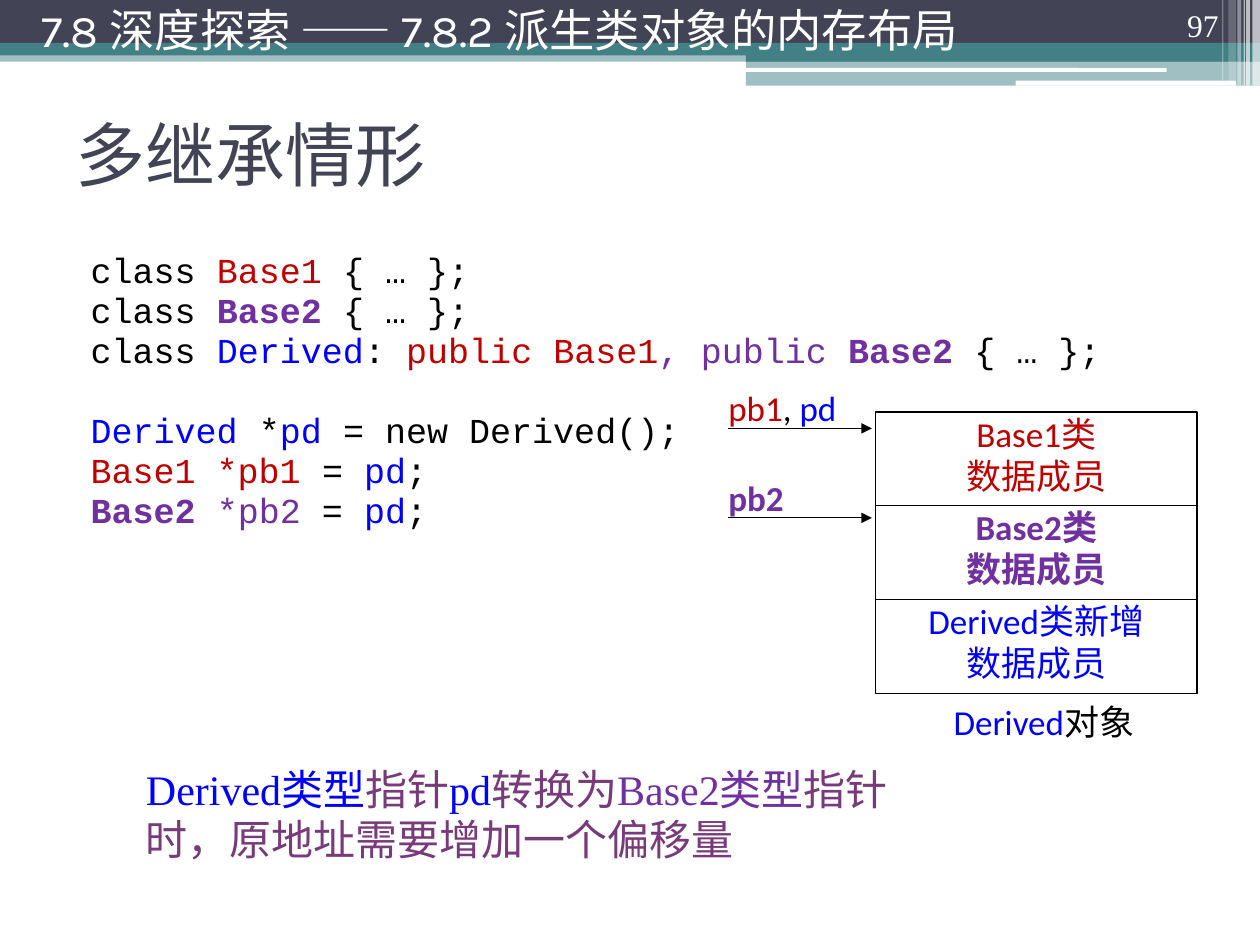
"""Build the slide on the memory layout of a multiply derived object."""
from lxml.etree import SubElement
from pptx import Presentation
from pptx.dml.color import RGBColor
from pptx.enum.shapes import MSO_CONNECTOR, MSO_SHAPE
from pptx.enum.text import MSO_ANCHOR, PP_ALIGN
from pptx.oxml.ns import qn
from pptx.util import Inches, Pt

THEME = dict(
    white="FFFFFF", black="000000", navy="424456", teal="438086",
    red="C00000", violet="7030A0", blue="0000FF", plum="783A7A",
    title=40, header=25.9, note=24, body=20, number=18, rule=0.75,
    head_font="Karla", code_font="Courier New", serif="Times New Roman", label_font="Calibri",
)

prs = Presentation()
prs.slide_width, prs.slide_height = Inches(10), Inches(7.5)
COL, ROW = prs.slide_width / 100, prs.slide_height / 75
s = prs.slides.add_slide(prs.slide_layouts[6])


def box(x, y, w, h, kind=None, fill=None, alpha=100, line=None):
    at = [int(v) for v in (x * COL, y * ROW, w * COL, h * ROW)]
    if kind is None:
        return s.shapes.add_textbox(*at)
    sp = s.shapes.add_shape(kind, *at)
    sp.shadow.inherit = False
    if fill:
        sp.fill.solid()
        sp.fill.fore_color.rgb = RGBColor.from_string(THEME[fill])
        if alpha < 100:
            color = sp.fill._xPr.find(qn("a:solidFill"))[0]
            SubElement(color, qn("a:alpha"), val=str(alpha * 1000))
    else:
        sp.fill.background()
    if line:
        sp.line.color.rgb = RGBColor.from_string(THEME[line])
        sp.line.width = Pt(THEME["rule"])
    else:
        sp.line.fill.background()
    return sp


def write(sp, paras, font, size, frame={}, para={}):
    tf = sp.text_frame
    for key, value in {"word_wrap": True, "vertical_anchor": MSO_ANCHOR.TOP, **frame}.items():
        setattr(tf, key, value)
    for i, runs in enumerate(paras):
        p = tf.add_paragraph() if i else tf.paragraphs[0]
        for key, value in para.items():
            setattr(p, key, value)
        for text, color, *bold in runs:
            r = p.add_run()
            r.text = text
            look = dict(name=THEME[font], size=Pt(THEME[size]), bold=bool(bold))
            for key, value in look.items():
                setattr(r.font, key, value)
            r.font.color.rgb = RGBColor.from_string(THEME[color])
    return tf


RECT, ROUND = MSO_SHAPE.RECTANGLE, MSO_SHAPE.ROUNDED_RECTANGLE
MIDDLE = dict(vertical_anchor=MSO_ANCHOR.MIDDLE)
FLUSH = dict.fromkeys(["margin_left", "margin_top", "margin_right", "margin_bottom"], 0)
CENTER = dict(alignment=PP_ALIGN.CENTER)

for x, y, w, h, kind, fill, alpha in [
    (0, 4, 100, 0.9, RECT, "teal", 50),
    (0, 0, 100, 3.4, RECT, "navy", 100),
    (0, 3.4, 100, 1, RECT, "teal", 100),
    (59.2, 3.9, 40.8, 1, RECT, "teal", 100),
    (59.2, 4.8, 40.8, 2, RECT, "teal", 50),
    (59.1, 5.4, 33.5, 0.3, ROUND, "white", 100),
    (80.6, 6.4, 17.5, 0.4, ROUND, "white", 100),
]:
    box(x, y, w, h, kind, fill, alpha)

for x, w, h, alpha in [
    (99.4, 0.6, 6.8, 65), (98.9, 0.3, 6.8, 65), (98.7, 0.1, 6.8, 60),
    (98.2, 0.3, 6.8, 40), (97.5, 0.6, 6.4, 20), (97, 0.1, 6.4, 30),
]:
    box(x, 0, w, h, RECT, "white", alpha)

write(box(89.4, 0, 8.3, 4), [[("97", "white")]], "serif", "number",
      dict(vertical_anchor=MSO_ANCHOR.BOTTOM), dict(alignment=PP_ALIGN.RIGHT))
write(box(5, 6.3, 90, 11.7), [[("多继承情形", "navy")]], "head_font", "title", MIDDLE)
write(box(2.3, 0, 95.7, 4.7), [[("7.8 深度探索 —— 7.8.2 派生类对象的内存布局", "white")]],
      "head_font", "header", MIDDLE)

code = [
    [("class ", "black"), ("Base1", "red"), (" { … };", "black")],
    [("class ", "black"), ("Base2 ", "violet", True), ("{ … };", "black")],
    [("class ", "black"), ("Derived", "blue"), (": ", "black"), ("public Base1", "red"),
     (", public ", "violet"), ("Base2 ", "violet", True), ("{ … };", "black")],
    [("Derived", "blue"), (" *", "black"), ("pd", "blue"), (" = new Derived();", "black")],
    [("Base1 *pb1 ", "red"), ("= ", "black"), ("pd", "blue"), (";", "black")],
    [("Base2", "violet", True), (" *pb2 ", "violet"), ("= ", "black"), ("pd", "blue"),
     (";", "black")],
]
tf = write(box(6.2, 19.5, 88.8, 52.4), code, "code_font", "body", para=dict(line_spacing=0.95))
tf.paragraphs[3].space_before = Pt(22.8)

note = [
    [("Derived类型", "blue"), ("指针", "plum"), ("pd", "blue"), ("转换为", "plum"),
     ("Base2类型", "violet"), ("指针", "plum")],
    [("时，原地址需要增加一个偏移量", "plum")],
]
write(box(10.6, 60.1, 61.5, 9.1), note, "serif", "note")

members = [("Base1类", "red"), ("Base2类", "violet", True), ("Derived类新增", "blue")]
for i, (name, *look) in enumerate(members):
    write(box(69.5, 32.7 + 7.45 * i, 25.5, 7.45, RECT, line="black"),
          [[(name, *look)], [("数据成员", *look)]], "label_font", "body", FLUSH, CENTER)
write(box(74.9, 55.6, 15.9, 3.9), [[("Derived", "blue"), ("对象", "black")]],
      "label_font", "body", FLUSH, CENTER)

pointers = [
    [("pb1", "red"), (", ", "black"), ("pd", "blue")],
    [("pb2", "violet", True)],
]
for i, runs in enumerate(pointers):
    y = 34 + 7.1 * i
    ln = s.shapes.add_connector(MSO_CONNECTOR.STRAIGHT, int(57.8 * COL), int(y * ROW),
                                int(69.2 * COL), int(y * ROW))
    ln.line.color.rgb = RGBColor.from_string(THEME["black"])
    ln.line.width = Pt(THEME["rule"])
    SubElement(ln.line._get_or_add_ln(), qn("a:tailEnd"), type="triangle")
    SubElement(ln._element.spPr, qn("a:effectLst"))
    write(box(57.8, y - 3.3, 10.2, 4.5), [runs], "label_font", "body", FLUSH,
          dict(alignment=PP_ALIGN.JUSTIFY))

prs.save("out.pptx")
